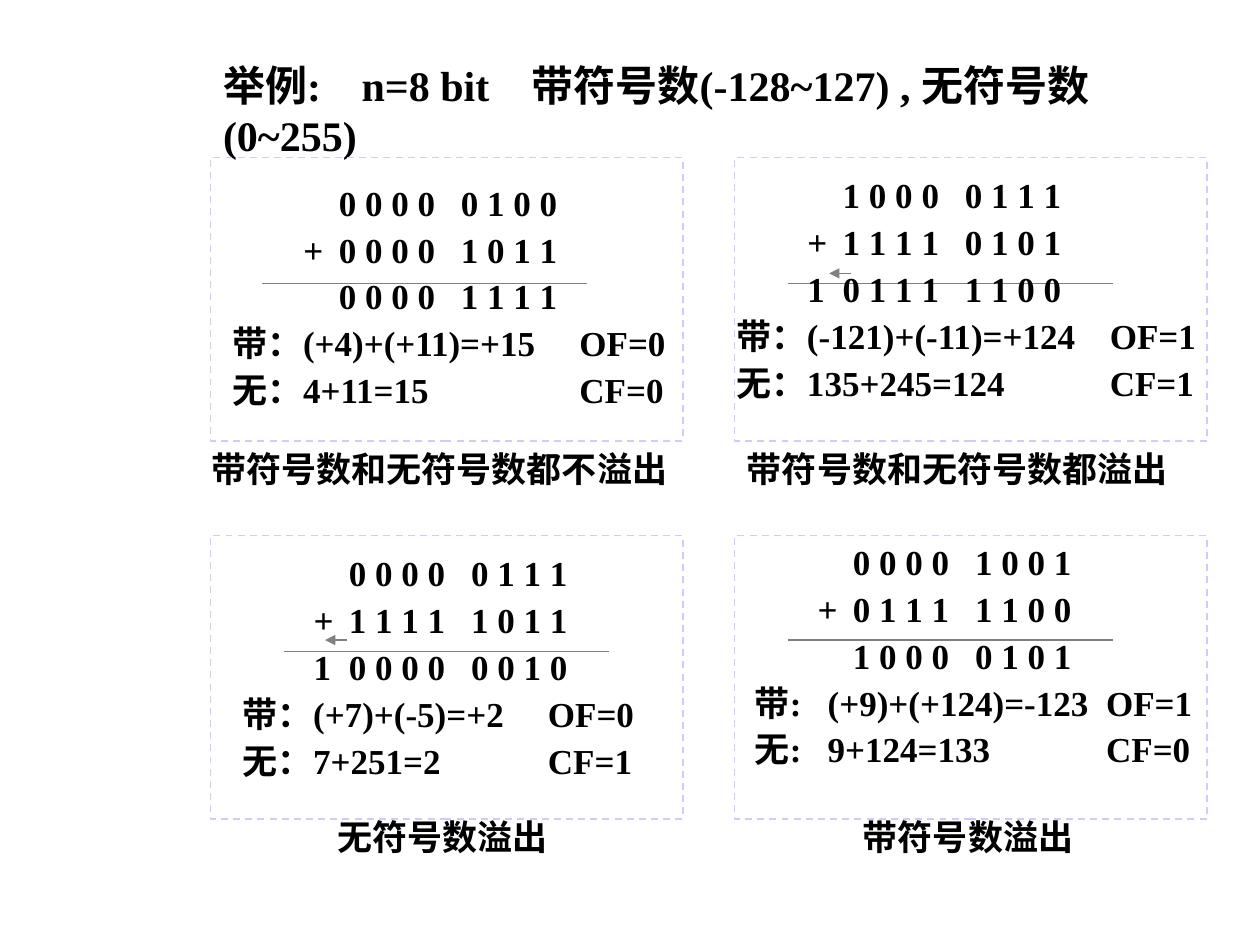
"""Build a slide showing four overflow cases of 8-bit addition."""
from lxml.etree import SubElement
from pptx import Presentation
from pptx.dml.color import RGBColor
from pptx.enum.dml import MSO_LINE
from pptx.enum.shapes import MSO_CONNECTOR, MSO_SHAPE
from pptx.enum.text import MSO_ANCHOR, MSO_AUTO_SIZE as AutoSize, PP_ALIGN
from pptx.oxml.ns import qn
from pptx.util import Inches, Pt

COLORS = {"text": "000000", "rule": "808080", "border": "CCCCFF"}
PANEL_WIDTH, PANEL_HEIGHT = 3.75, 2.25
RULE_WIDTH, ARROW_WIDTH = 2.58, 0.17
SUM_TABS = (0.56, 0.84, 1.81)
VALUE_TAB = 0.64

CASES = [
    {
        "panel": (1.67, 1.25), "text": (1.75, 1.48, 3.75, 1.93), "flag_tab": 2.75,
        "rule": (2.08, 2.25), "arrow": None,
        "sums": ["\t\t0 0 0 0\t0 1 0 0", "\t+\t0 0 0 0\t1 0 1 1", "\t\t0 0 0 0\t1 1 1 1"],
        "readings": ["带：(+4)+(+11)=+15\tOF=0", "无：4+11=15\tCF=0"],
        "caption": ("带符号数和无符号数都不溢出", 1.58, 3.5, 3.84),
    },
    {
        "panel": (5.83, 1.25), "text": (5.75, 1.42, 4, 1.93), "flag_tab": 2.96,
        "rule": (6.25, 2.25), "arrow": (6.75, 2.17),
        "sums": ["\t\t1 0 0 0\t0 1 1 1", "\t+\t1 1 1 1\t0 1 0 1", "\t1\t0 1 1 1\t1 1 0 0"],
        "readings": ["带：(-121)+(-11)=+124\tOF=1", "无：135+245=124\tCF=1"],
        "caption": ("带符号数和无符号数都溢出", 5.83, 3.5, 3.56),
    },
    {
        "panel": (1.67, 4.25), "text": (1.83, 4.42, 3.58, 1.93), "flag_tab": 2.42,
        "rule": (2.25, 5.17), "arrow": (2.75, 5.08),
        "sums": ["\t\t0 0 0 0\t0 1 1 1", "\t+\t1 1 1 1\t1 0 1 1", "\t1\t0 0 0 0\t0 0 1 0"],
        "readings": ["带：(+7)+(-5)=+2\tOF=0", "无：7+251=2\tCF=1"],
        "caption": ("无符号数溢出", 2.58, 6.42, 1.88),
    },
    {
        "panel": (5.83, 4.25), "text": (5.83, 4.33, 3.75, 1.93), "flag_tab": 2.85,
        "rule": (6.25, 5.08), "arrow": None,
        "sums": ["\t\t0 0 0 0\t1 0 0 1", "\t+\t0 1 1 1\t1 1 0 0", "\t\t1 0 0 0\t0 1 0 1"],
        "readings": [" 带:\t(+9)+(+124)=-123\tOF=1", " 无:\t9+124=133\tCF=0"],
        "caption": ("带符号数溢出", 6.75, 6.42, 1.88),
    },
]


class SlideBuilder:
    """Hold the text style and the current slide."""

    font_name = "Times New Roman"
    title_size = 24
    body_size = 20

    def __init__(self, presentation):
        self.slide = presentation.slides.add_slide(presentation.slide_layouts[5])

    def color(self, name):
        return RGBColor.from_string(COLORS[name])

    def add_run(self, paragraph, text, size):
        run = paragraph.add_run()
        run.text = text
        run.font.name = self.font_name
        run.font.size = Pt(size)
        run.font.bold = True
        run.font.color.rgb = self.color("text")

    def set_tabs(self, paragraph, stops):
        properties = paragraph._p.get_or_add_pPr()
        tab_list = SubElement(properties, qn("a:tabLst"))
        for stop in stops:
            SubElement(tab_list, qn("a:tab"), pos=str(Inches(stop)), algn="l")

    def set_space_before(self, paragraph, percent):
        properties = paragraph._p.get_or_add_pPr()
        space = SubElement(properties, qn("a:spcBef"))
        SubElement(space, qn("a:spcPct"), val=str(percent * 1000))

    def title(self, text, left, top, width, height, tabs):
        shape = self.slide.shapes.title
        shape.left, shape.top = Inches(left), Inches(top)
        shape.width, shape.height = Inches(width), Inches(height)
        frame = shape.text_frame
        frame.word_wrap = True
        frame.auto_size = AutoSize.SHAPE_TO_FIT_TEXT
        frame.vertical_anchor = MSO_ANCHOR.TOP
        paragraph = frame.paragraphs[0]
        paragraph.alignment = PP_ALIGN.LEFT
        self.set_tabs(paragraph, tabs)
        self.add_run(paragraph, text, self.title_size)

    def text_box(self, left, top, width, height, wrap):
        shape = self.slide.shapes.add_textbox(
            Inches(left), Inches(top), Inches(width), Inches(height))
        frame = shape.text_frame
        frame.word_wrap = wrap
        frame.auto_size = AutoSize.SHAPE_TO_FIT_TEXT
        return frame

    def calculation(self, position, sums, readings, flag_tab):
        frame = self.text_box(*position, wrap=True)
        rows = [(text, SUM_TABS) for text in sums]
        for text in readings:
            stops = (VALUE_TAB, flag_tab) if text.count("\t") == 2 else (flag_tab,)
            rows.append((text, stops))
        for index, (text, stops) in enumerate(rows):
            paragraph = frame.add_paragraph() if index else frame.paragraphs[0]
            paragraph.line_spacing = 0.7
            self.set_space_before(paragraph, 50)
            self.set_tabs(paragraph, stops)
            self.add_run(paragraph, text, self.body_size)

    def caption(self, text, left, top, width):
        frame = self.text_box(left, top, width, 0.43, wrap=False)
        self.add_run(frame.paragraphs[0], text, self.body_size)

    def panel(self, left, top):
        shape = self.slide.shapes.add_shape(
            MSO_SHAPE.RECTANGLE, Inches(left), Inches(top),
            Inches(PANEL_WIDTH), Inches(PANEL_HEIGHT))
        shape.shadow.inherit = False
        shape.fill.background()
        shape.line.color.rgb = self.color("border")
        shape.line.width = Pt(1)
        shape.line.dash_style = MSO_LINE.DASH

    def line(self, left, top, length, arrow=False):
        connector = self.slide.shapes.add_connector(
            MSO_CONNECTOR.STRAIGHT, Inches(left), Inches(top),
            Inches(left + length), Inches(top))
        connector.line.color.rgb = self.color("rule")
        connector.line.width = Pt(1)
        if arrow:
            SubElement(connector.line._get_or_add_ln(), qn("a:tailEnd"), type="triangle")
        SubElement(connector._element.spPr, qn("a:effectLst"))


def main():
    presentation = Presentation()
    presentation.slide_width = Inches(10)
    presentation.slide_height = Inches(7.5)
    builder = SlideBuilder(presentation)
    builder.title("举例:\tn=8 bit\t带符号数(-128~127) , 无符号数(0~255)",
                  1.67, 0.42, 8.08, 0.5, tabs=(1.1, 2.45))
    for case in CASES:
        builder.panel(*case["panel"])
        builder.line(*case["rule"], RULE_WIDTH)
        if case["arrow"]:
            builder.line(*case["arrow"], -ARROW_WIDTH, arrow=True)
        builder.calculation(case["text"], case["sums"], case["readings"], case["flag_tab"])
        builder.caption(*case["caption"])
    presentation.save("out.pptx")


if __name__ == "__main__":
    main()
